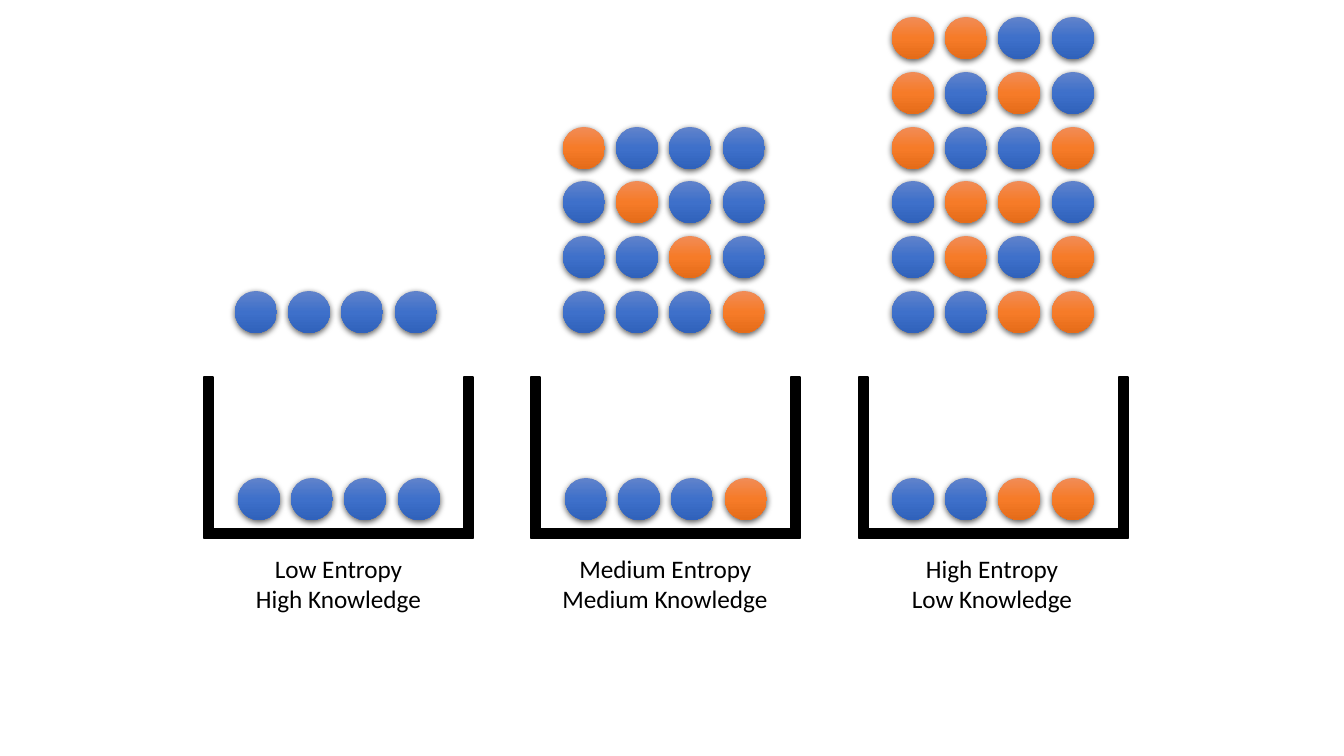
import copy

import pptx
import pptx.dml.color
import pptx.enum.shapes
import pptx.enum.text
import pptx.oxml
import pptx.oxml.ns
import pptx.util

PX = 914400 / 100.8
COLOURS = {"ink": "000000"}
BALL_GRADIENTS = {
    "B": ("6183CB", "3E70CA", "3062BB"),
    "O": ("F18C57", "F67B28", "E56C19"),
}
BALL_SIZE = 42
BALL_PITCH = 53.2
ROW_PITCH = 54.8
STACK_BOTTOM_ROW = 291
BIN_ROW = 478
BIN_TOP, BIN_WIDTH, BIN_HEIGHT, WALL = 377, 269, 161, 9
CAPTION_TOPS = (548, 578)
CAPTION_HEIGHT = 40
CAPTION_FONT = {"name": "Calibri", "size": pptx.util.Pt(18)}
CAPTION_FRAME = {
    "word_wrap": False,
    "auto_size": pptx.enum.text.MSO_AUTO_SIZE.SHAPE_TO_FIT_TEXT,
}
SHADOW_XML = (
    '<a:outerShdw %s blurRad="57150" dist="19050" dir="5400000" algn="ctr" rotWithShape="0">'
    '<a:srgbClr val="%s"><a:alpha val="63000"/></a:srgbClr></a:outerShdw>'
)

# Stacks list the arrangements from the top row down; B is blue, O is orange.
COLUMNS = (
    {"bin_left": 204, "bin_balls_left": 238, "stack_left": 235, "centre": 338,
     "bin_balls": "BBBB", "stack": ("BBBB",),
     "captions": (("Low Entropy", 149), ("High Knowledge", 187))},
    {"bin_left": 531, "bin_balls_left": 565, "stack_left": 563, "centre": 665,
     "bin_balls": "BBBO", "stack": ("OBBB", "BOBB", "BBOB", "BBBO"),
     "captions": (("Medium Entropy", 195), ("Medium Knowledge", 228))},
    {"bin_left": 859, "bin_balls_left": 892, "stack_left": 892, "centre": 992,
     "bin_balls": "BBOO",
     "stack": ("OOBB", "OBOB", "OBBO", "BOOB", "BOBO", "BBOO"),
     "captions": (("High Entropy", 154), ("Low Knowledge", 182))},
)


def px(*lengths):
    return [pptx.util.Emu(round(length * PX)) for length in lengths]


def rgb(value):
    return pptx.dml.color.RGBColor.from_string(value)


def set_all(target, values):
    for attribute, value in values.items():
        setattr(target, attribute, value)


def add_ball(slide, left, top, kind):
    ball = slide.shapes.add_shape(
        pptx.enum.shapes.MSO_SHAPE.OVAL, *px(left, top, BALL_SIZE, BALL_SIZE))
    ball.line.fill.background()
    # Three-stop gradient, light at the top
    ball.fill.gradient()
    ball.fill.gradient_angle = 270
    properties = ball._element.spPr
    stop_list = properties.find(".//" + pptx.oxml.ns.qn("a:gsLst"))
    stop_list.append(copy.deepcopy(stop_list[-1]))
    for index, stop in enumerate(ball.fill.gradient_stops):
        stop.position = index / 2
        stop.color.rgb = rgb(BALL_GRADIENTS[kind][index])
    # Soft shadow below
    ball.shadow.inherit = False
    properties.find(pptx.oxml.ns.qn("a:effectLst")).append(
        pptx.oxml.parse_xml(
            SHADOW_XML % (pptx.oxml.ns.nsdecls("a"), COLOURS["ink"])))


def add_ball_row(slide, left, top, kinds):
    for index, kind in enumerate(kinds):
        add_ball(slide, left + round(index * BALL_PITCH), top, kind)


def add_bin(slide, left):
    bin_group = slide.shapes.add_group_shape()
    sides = (
        (left, BIN_TOP, WALL, BIN_HEIGHT),
        (left + BIN_WIDTH - WALL, BIN_TOP, WALL, BIN_HEIGHT),
        (left, BIN_TOP + BIN_HEIGHT - WALL, BIN_WIDTH, WALL),
    )
    for side in sides:
        wall = bin_group.shapes.add_shape(
            pptx.enum.shapes.MSO_SHAPE.RECTANGLE, *px(*side))
        wall.shadow.inherit = False
        wall.fill.solid()
        wall.fill.fore_color.rgb = rgb(COLOURS["ink"])
        wall.line.color.rgb = rgb(COLOURS["ink"])
        wall.line.width = pptx.util.Pt(1)


def add_caption(slide, centre, top, wording, width):
    caption = slide.shapes.add_textbox(
        *px(centre - width // 2, top, width, CAPTION_HEIGHT))
    set_all(caption.text_frame, CAPTION_FRAME)
    line = caption.text_frame.paragraphs[0]
    line.alignment = pptx.enum.text.PP_ALIGN.CENTER
    words = line.add_run()
    words.text = wording
    set_all(words.font, CAPTION_FONT)
    words.font.color.rgb = rgb(COLOURS["ink"])


def main():
    deck = pptx.Presentation()
    deck.slide_width, deck.slide_height = px(1344, 756)
    slide = deck.slides.add_slide(deck.slide_layouts[6])

    for column in COLUMNS:
        # Bin with its balls
        add_bin(slide, column["bin_left"])
        add_ball_row(slide, column["bin_balls_left"], BIN_ROW, column["bin_balls"])
        # Possible arrangements above the bin
        for level, kinds in enumerate(reversed(column["stack"])):
            top = STACK_BOTTOM_ROW - round(level * ROW_PITCH)
            add_ball_row(slide, column["stack_left"], top, kinds)
        # Captions below the bin
        for top, (wording, width) in zip(CAPTION_TOPS, column["captions"]):
            add_caption(slide, column["centre"], top, wording, width)

    deck.save("out.pptx")


if __name__ == "__main__":
    main()
